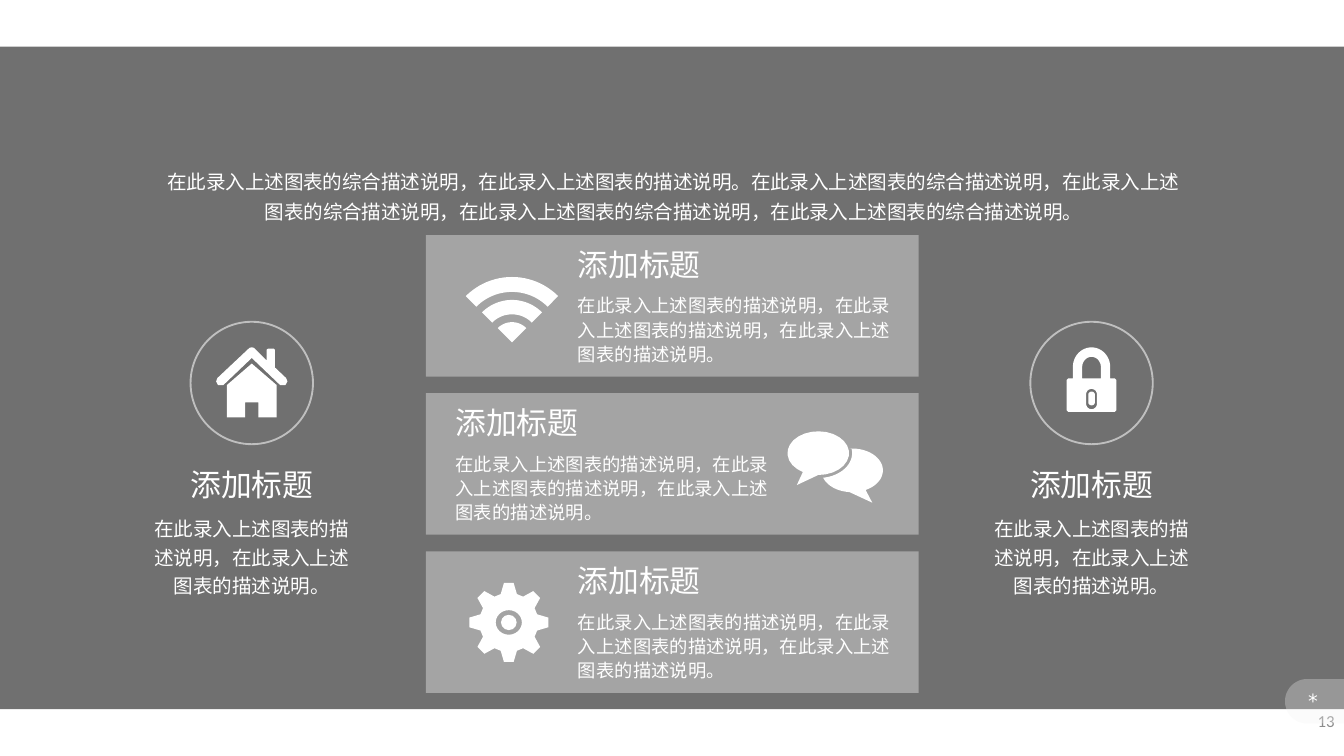
from math import cos, radians, sin

from lxml import etree
from pptx import Presentation
from pptx.dml.color import RGBColor
from pptx.enum.shapes import MSO_SHAPE
from pptx.enum.text import MSO_ANCHOR, PP_ALIGN
from pptx.oxml.ns import qn
from pptx.util import Pt

WHITE = RGBColor(0xFF, 0xFF, 0xFF)
BLACK = RGBColor(0x00, 0x00, 0x00)
PALE = RGBColor(0xF2, 0xF2, 0xF2)
RING = RGBColor(0xBF, 0xBF, 0xBF)
NUMBER_GREY = RGBColor(0x8C, 0x8C, 0x8C)

CJK = "Noto Sans CJK SC"
HEADING = "添加标题"
PHRASE = "在此录入上述图表的描述说明"
SUMMARY = (
    "在此录入上述图表的综合描述说明，在此录入上述图表的描述说明。"
    + "，".join(["在此录入上述图表的综合描述说明"] * 4)
    + "。"
)


def paint(shape, color, alpha=None):
    shape.shadow.inherit = False
    shape.line.fill.background()
    shape.fill.solid()
    shape.fill.fore_color.rgb = color
    if alpha is not None:
        tint = shape.fill._xPr.find(qn("a:solidFill"))[0]
        etree.SubElement(tint, qn("a:alpha")).set("val", str(alpha * 1000))


def preset(shapes, kind, left, top, width, height, color, alpha=None):
    shape = shapes.add_shape(kind, Pt(left), Pt(top), Pt(width), Pt(height))
    paint(shape, color, alpha)
    return shape


def arc(x, y, rx, ry, start, end, steps=24):
    angles = [radians(start + (end - start) * i / steps) for i in range(steps + 1)]
    return [(x + rx * cos(a), y + ry * sin(a)) for a in angles]


def outline(shapes, x, y, contours, color=WHITE, alpha=None):
    placed = [[(Pt(x + dx), Pt(y + dy)) for dx, dy in contour] for contour in contours]
    builder = shapes.build_freeform(*placed[0][0], scale=1.0)
    builder.add_line_segments(placed[0][1:], close=True)
    for contour in placed[1:]:
        builder.move_to(*contour[0])
        builder.add_line_segments(contour[1:], close=True)
    paint(builder.convert_to_shape(), color, alpha)


def write(slide, text, left, top, width, height, size, align=PP_ALIGN.LEFT,
          spacing=1.0, font=CJK, color=WHITE, anchor=MSO_ANCHOR.TOP):
    frame = slide.shapes.add_textbox(Pt(left), Pt(top), Pt(width), Pt(height)).text_frame
    frame.word_wrap = True
    frame.vertical_anchor = anchor
    frame.margin_left = frame.margin_right = Pt(5)
    frame.margin_top = frame.margin_bottom = Pt(2.9)
    paragraph = frame.paragraphs[0]
    paragraph.text = text
    paragraph.alignment = align
    paragraph.line_spacing = spacing
    paragraph.font.size = Pt(size)
    paragraph.font.name = font
    paragraph.font.color.rgb = color
    east_asian = etree.SubElement(paragraph.font._element, qn("a:ea"))
    east_asian.set("typeface", font)


def wifi(shapes, left, top):
    x, y = left + 46.1, top + 57.4
    for outer, inner in ((10.8, 0), (22.7, 15), (35, 27)):
        band = arc(0, 0, outer, outer, 225, 315) + arc(0, 0, inner, inner, 315, 225)
        outline(shapes, x, y, [band])


def chat(shapes, left, top):
    x, y = left + 193.7, top + 20.4
    back = (
        arc(34.6, 20.9, 16.5, 11.7, -95, 64) + [(45.4, 38.2)]
        + arc(34.6, 20.9, 16.5, 11.7, 95, 160)
        + arc(16.5, 11.7, 18.1, 13.3, 80, -10)
    )
    front = arc(16.5, 11.7, 16.5, 11.7, 90, -240) + [(5, 28.8)]
    outline(shapes, x, y, [back])
    outline(shapes, x, y, [front])


def gear(shapes, left, top):
    x, y = left + 44.4, top + 38.1
    rim = []
    for tooth in range(0, 360, 45):
        for offset, reach in ((-16, 15.8), (-7, 21.3), (7, 21.3), (16, 15.8)):
            angle = radians(tooth + offset)
            rim.append((reach * cos(angle), reach * sin(angle)))
    outline(shapes, x, y, [rim, arc(0, 0, 7, 6.6, 0, 360)])
    preset(shapes, MSO_SHAPE.OVAL, x - 4.2, y - 4.1, 8.4, 8.2, WHITE)


def capsule(radius, top, bottom):
    return (arc(0, top + radius, radius, radius, 180, 360)
            + arc(0, bottom - radius, radius, radius, 0, 180))


def lock(shapes, x, y):
    body = (
        [(-10, -2.5)] + arc(0, -8.6, 10, 10.5, 180, 360)
        + [(10, -2.5), (12.4, -2.5), (13.3, -1.6), (13.3, 14.6), (12.4, 15.5),
           (-12.4, 15.5), (-13.3, 14.6), (-13.3, -1.6), (-12.4, -2.5)]
    )
    shackle_gap = [(-5, -2.5)] + arc(0, -8.6, 5, 5.4, 180, 360) + [(5, -2.5)]
    outline(shapes, x, y, [body, shackle_gap, capsule(2.9, 3.2, 14)])
    outline(shapes, x, y, [capsule(1.8, 4.6, 12)])


def house(shapes, x, y):
    walls = [(0, -10.4), (13.3, 1.1), (13.3, 18.4), (3.6, 18.4), (3.6, 10.4),
             (-3.6, 10.4), (-3.6, 18.4), (-13.3, 18.4), (-13.3, 1.1)]
    eave = [(18.4, -2.6), (19.1, -0.8), (18, 1.2), (15.3, 1.2)]
    roof = (
        [(-1.2, -18.8), (0, -19.1), (1.2, -18.8), (8, -12), (8, -17.8), (8.7, -18.4),
         (11.8, -18.4), (12.4, -17.8), (12.4, -8.3)]
        + eave + [(0, -13.4)] + [(-dx, dy) for dx, dy in reversed(eave)]
    )
    outline(shapes, x, y, [walls])
    outline(shapes, x, y, [roof])


def add_card(slide, left, top, width, height, icon, text_offset):
    preset(slide.shapes, MSO_SHAPE.RECTANGLE, left, top, width, height, PALE, 40)
    icon(slide.shapes.add_group_shape().shapes, left, top)
    text_left = left + text_offset
    write(slide, HEADING, text_left, top + 2.9, 91.4, 25.2, 16.5)
    write(slide, "，".join([PHRASE] * 3) + "。", text_left, top + 27.8, 181.4, 44.6,
          9.8, spacing=1.1)


def add_side_panel(slide, left, top, width, icon):
    center = left + width / 2
    emblem = slide.shapes.add_group_shape().shapes
    ring = emblem.add_shape(MSO_SHAPE.OVAL, Pt(center - 32.8), Pt(top), Pt(65.6), Pt(65.6))
    ring.shadow.inherit = False
    ring.fill.background()
    ring.line.color.rgb = RING
    ring.line.width = Pt(1)
    icon(emblem, center, top + 32.8)
    write(slide, HEADING, center - 45.7, top + 74.2, 91.4, 25.2, 16.5, PP_ALIGN.CENTER)
    write(slide, "，".join([PHRASE] * 2) + "。", left, top + 99.4, width, 51.1,
          10.5, PP_ALIGN.CENTER, 1.2)


def add_backdrop(slide, left, top, width, height):
    preset(slide.shapes, MSO_SHAPE.RECTANGLE, left, top, width, height, BLACK, 56)
    write(slide, "13", 558, 375.1, 162, 21.6, 9, PP_ALIGN.RIGHT, font="Calibri",
          color=NUMBER_GREY, anchor=MSO_ANCHOR.MIDDLE)


def add_badge(slide, left, top, width, height):
    radius = height / 2
    tab = arc(radius, radius, radius, radius, 90, 270) + [(width, 0), (width, height)]
    outline(slide.shapes, left, top, [tab], PALE, 30)
    write(slide, "*", left + 1.7, top + 2.6, 26.6, 16.6, 10.5, PP_ALIGN.CENTER,
          font="DejaVu Sans Mono")


def main():
    deck = Presentation()
    deck.slide_width, deck.slide_height = Pt(720), Pt(405)
    slide = deck.slides.add_slide(deck.slide_layouts[6])
    add_backdrop(slide, 0, 25, 720, 355)
    add_badge(slide, 688.4, 363.8, 31.6, 23.8)
    for row, (icon, text_offset) in enumerate(((wifi, 76.4), (chat, 10.9), (gear, 76.4))):
        add_card(slide, 228.2, 126 + row * 84.7, 264, 75.8, icon, text_offset)
    write(slide, SUMMARY, 79.9, 84.2, 562.3, 38.9, 10.5, PP_ALIGN.CENTER, 1.3)
    add_side_panel(slide, 76.6, 172.4, 116.6, house)
    add_side_panel(slide, 526.5, 172.4, 116.6, lock)
    deck.save("out.pptx")


if __name__ == "__main__":
    main()
